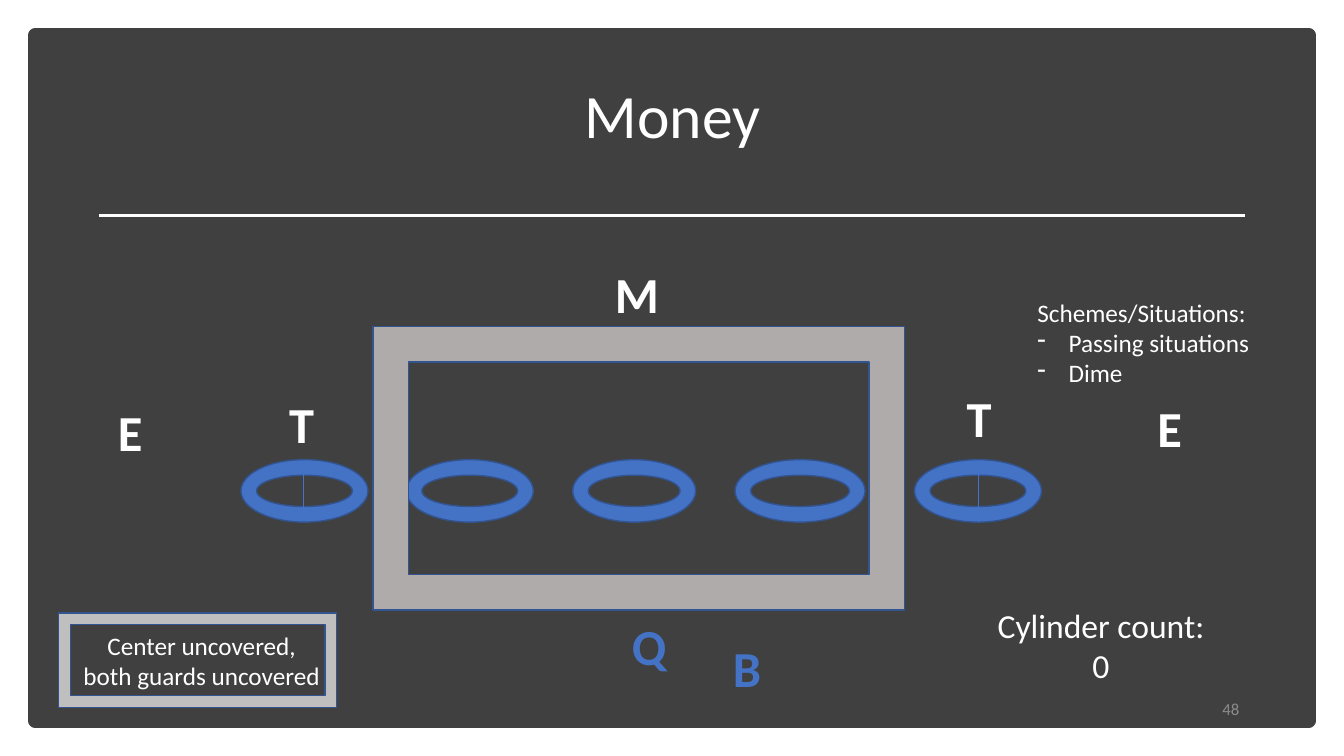
import pptx
import pptx.util
from dataclasses import dataclass
from lxml import etree
from pptx.dml.color import RGBColor
from pptx.enum.shapes import MSO_CONNECTOR, MSO_SHAPE
from pptx.enum.text import MSO_ANCHOR, PP_ALIGN
from pptx.oxml.ns import qn
from pptx.util import Inches


@dataclass(frozen=True)
class Theme:
    font: str = "Calibri"
    back: str = "404040"
    white: str = "FFFFFF"
    blue: str = "4472C4"
    edge: str = "325491"
    gray: str = "AFABAB"
    pale: str = "BFBFBF"
    dim: str = "8C8C8C"
    title: int = 44
    mark: int = 36
    count: int = 24
    note: int = 18
    small: int = 12


THEME = Theme()


def add_shape(slide, kind, box, fill, line=THEME.edge, width=1):
    shape = slide.shapes.add_shape(kind, *map(Inches, box))
    shape.shadow.inherit = False
    shape.fill.solid()
    shape.fill.fore_color.rgb = RGBColor.from_string(fill)
    shape.line.color.rgb = RGBColor.from_string(line)
    shape.line.width = pptx.util.Pt(width)


def add_line(slide, start, end, color, width):
    line = slide.shapes.add_connector(
        MSO_CONNECTOR.STRAIGHT, *map(Inches, start + end))
    line.line.color.rgb = RGBColor.from_string(color)
    line.line.width = pptx.util.Pt(width)
    etree.SubElement(line._element.spPr, qn("a:effectLst"))


def set_dash(para):
    props = para._p.get_or_add_pPr()
    props.set("marL", str(Inches(0.31)))
    props.set("indent", str(-Inches(0.31)))
    etree.SubElement(props, qn("a:buChar")).set("char", "-")


def add_text(slide, box, lines, size, color=THEME.white, align=PP_ALIGN.LEFT,
             anchor=MSO_ANCHOR.TOP, bold=False, dashed=False):
    frame = slide.shapes.add_textbox(*map(Inches, box)).text_frame
    frame.word_wrap = True
    frame.vertical_anchor = anchor
    for i, text in enumerate(lines):
        para = frame.add_paragraph() if i else frame.paragraphs[0]
        para.text = text
        para.alignment = align
        # The first line of a dashed list is its heading
        if dashed and i:
            set_dash(para)
        para.font.name = THEME.font
        para.font.size = pptx.util.Pt(size)
        para.font.bold = bold
        para.font.color.rgb = RGBColor.from_string(color)


def add_mark(slide, text, left, top, color=THEME.white):
    add_text(slide, (left, top, 1.3, 0.71), [text], THEME.mark, color, bold=True)


def main():
    deck = pptx.Presentation()
    deck.slide_width, deck.slide_height = Inches(13.33), Inches(7.5)
    slide = deck.slides.add_slide(deck.slide_layouts[6])

    # Backdrop and title
    add_shape(slide, MSO_SHAPE.RECTANGLE, (0.35, 0.35, 12.63, 6.8),
              THEME.back, THEME.back, 10)
    add_line(slide, (0.98, 2.14), (12.35, 2.14), THEME.white, 1.75)
    add_text(slide, (0.92, 0.4, 11.5, 1.45), ["Money"], THEME.title,
             align=PP_ALIGN.CENTER, anchor=MSO_ANCHOR.MIDDLE)

    # Offensive line
    for left, width in ((2.39, 1.26), (4.03, 1.26), (5.68, 1.22),
                        (7.29, 1.29), (9.07, 1.26)):
        add_shape(slide, MSO_SHAPE.DONUT, (left, 4.56, width, 0.62), THEME.blue)

    # Box around the interior line
    add_shape(slide, MSO_SHAPE.FRAME, (3.7, 3.24, 5.27, 2.81), THEME.gray)

    # Backfield and defense
    for text, left, top in (("Q", 6.17, 6.05), ("B", 7.17, 6.27)):
        add_mark(slide, text, left, top, THEME.blue)
    for text, left, top in (("M", 6, 2.56), ("E", 1.07, 3.93), ("T", 2.77, 3.85),
                            ("T", 9.49, 3.79), ("E", 11.38, 3.89)):
        add_mark(slide, text, left, top)

    # Center lines of the outer tackles
    for x, top, base in ((3.01, 4.63, 5.04), (9.7, 4.56, 5.18)):
        add_line(slide, (x, top), (x, base), THEME.blue, 0.5)

    # Notes
    add_text(slide, (9.71, 5.95, 2.42, 0.91), ["Cylinder count: 0"],
             THEME.count, align=PP_ALIGN.CENTER)
    add_text(slide, (0.58, 6.2, 2.84, 0.71),
             ["Center uncovered,", "both guards uncovered"],
             THEME.note, align=PP_ALIGN.CENTER)
    add_text(slide, (10.19, 2.9, 2.79, 1.01),
             ["Schemes/Situations:", "Passing situations", "Dime"],
             THEME.note, dashed=True)
    add_shape(slide, MSO_SHAPE.FRAME, (0.58, 6.08, 2.76, 0.94), THEME.pale)

    # Slide number
    add_text(slide, (9.39, 6.83, 3, 0.4), ["48"], THEME.small, THEME.dim,
             PP_ALIGN.RIGHT, MSO_ANCHOR.MIDDLE)

    deck.save("out.pptx")


if __name__ == "__main__":
    main()
